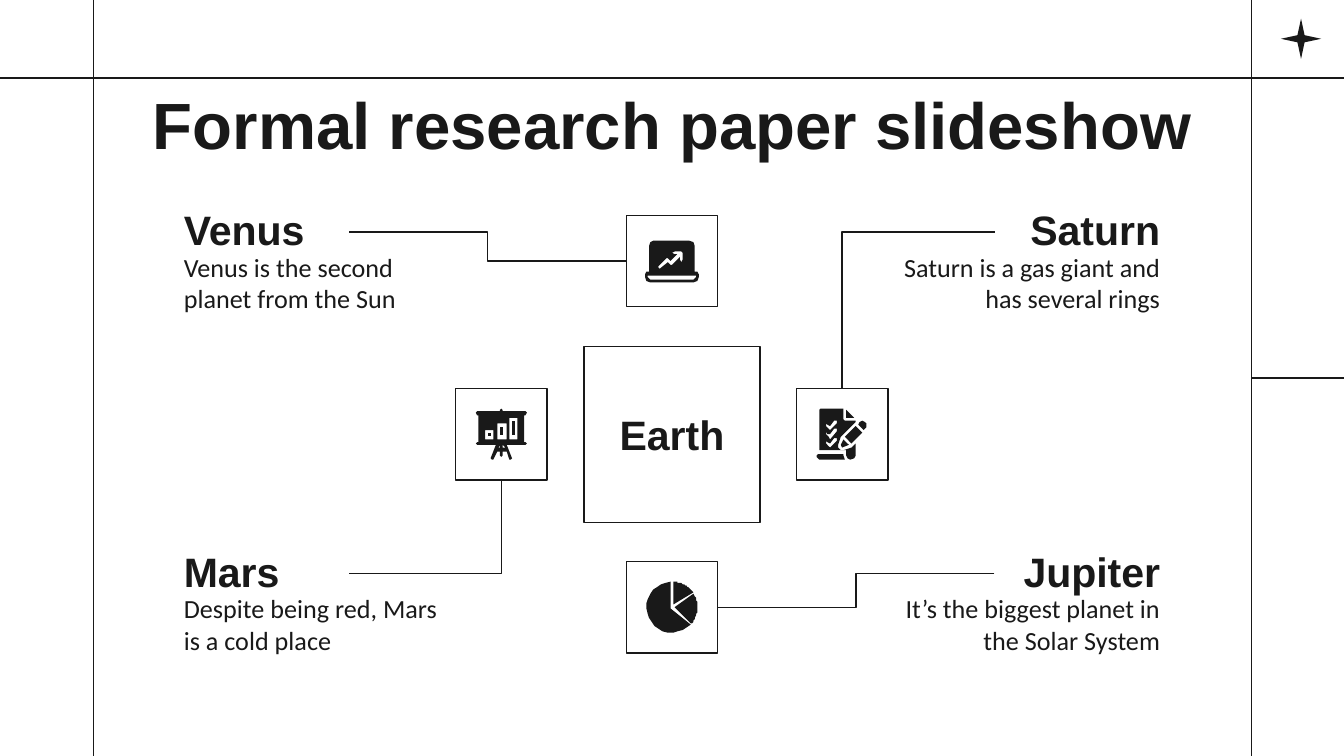
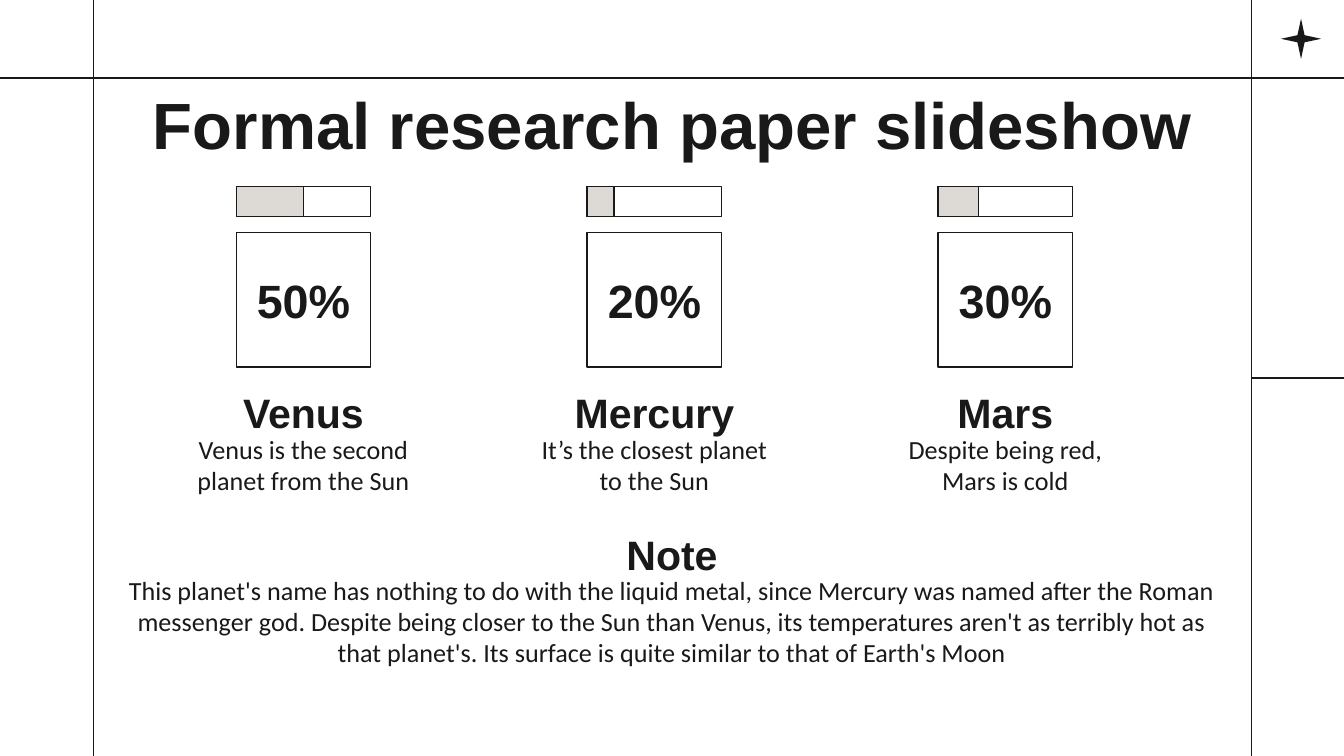
from math import cos, radians, sin

from lxml.etree import SubElement
from pptx import Presentation
from pptx.dml.color import RGBColor
from pptx.enum.shapes import MSO_CONNECTOR as LINK, MSO_SHAPE as SHAPE
from pptx.enum.text import MSO_ANCHOR as ANCHOR, PP_ALIGN as ALIGN
from pptx.oxml.ns import qn
from pptx.util import Pt

INK = RGBColor(0x19, 0x19, 0x19)
BAR = RGBColor(0xDD, 0xD9, 0xD5)
WHITE = RGBColor(0xFF, 0xFF, 0xFF)

WIDTH, HEIGHT = 720, 405
LEFT_RULE, RIGHT_RULE, TOP_RULE = 50.2, 670.3, 41.7
BLEED = 2.5
TILE = 49
ICON_UNIT = 0.72
HEADING_HEIGHT = 31

TITLE = {"name": "Arial", "size": Pt(35), "bold": True}
HEADING = {"name": "Arial", "size": Pt(22), "bold": True}
FIGURE = {"name": "Arial", "size": Pt(25), "bold": True}
BODY = {"name": "Calibri", "size": Pt(14), "bold": False}

LAPTOP = [[
    [(17, 23), (18, 20), (20, 19), (47, 19), (50, 20), (51, 23), (51, 42),
     (53, 42), (54, 44), (54, 46), (53, 49), (50, 50), (18, 50), (15, 49),
     (14, 46), (14, 44), (15, 42), (17, 42)],
    [(16, 45), (52, 45), (52, 46), (50, 48), (18, 48), (16, 46)],
    [(36, 27), (41, 27), (42, 28), (42, 33), (41, 35), (40, 33), (40, 31),
     (34, 37), (33, 37), (31, 35), (26, 39), (25, 40), (24, 39), (24, 38),
     (30, 32), (31, 32), (33, 34), (38, 29), (36, 29), (34, 28)],
]]
TICK = [(29, 24), (30, 24), (30, 26), (25, 31), (24, 30), (22, 28),
        (22, 26), (23, 27), (25, 28), (28, 24)]
CHECKLIST = [
    [[(17, 16), (18, 15), (35, 15), (35, 23), (36, 24), (44, 24), (44, 25),
      (33, 36), (31, 42), (31, 44), (33, 46), (35, 46), (41, 44), (44, 41),
      (44, 50), (43, 52), (40, 53), (38, 52), (37, 50), (37, 46), (17, 46)],
     *[[(x, y + drop) for x, y in TICK] for drop in (0, 6.5, 13)]],
    [[(46, 27), (50, 31), (52, 29), (52, 26), (51, 25), (49, 24), (47, 25)]],
    [[(35, 38), (39, 42), (34, 44), (33, 42)]],
    [[(44, 28), (49, 33), (41, 41), (36, 36)]],
    [[(37, 16), (43, 22), (37, 22)]],
    [[(15, 50), (16, 49), (35, 49), (35, 50), (36, 53), (17, 53), (15, 51)]],
]


def block(left, top, width, height):
    """Return the four corners of an upright rectangle."""
    right, bottom = left + width, top + height
    return [(left, top), (right, top), (right, bottom), (left, bottom)]


def sector(tip, start, end, centre=34, radius=19):
    """Return a pie slice outline with its arc between two angles in degrees."""
    steps = 20
    angles = [radians(start + (end - start) * i / steps) for i in range(steps + 1)]
    return [tip] + [(centre + radius * cos(a), centre + radius * sin(a)) for a in angles]


BOARD = [
    [[(33, 16), (34, 15), (35, 16), (35, 17), (52, 17), (53, 18), (52, 20),
      (51, 20), (51, 40), (52, 40), (53, 41), (52, 42), (38, 42), (42, 52),
      (41, 53), (40, 53), (38, 47), (35, 47), (35, 50), (34, 51), (33, 50),
      (33, 47), (31, 47), (28, 53), (27, 53), (26, 52), (30, 42), (16, 42),
      (15, 41), (16, 40), (17, 40), (17, 20), (16, 20), (15, 18), (16, 17),
      (33, 17)],
     block(22, 31, 6, 7), block(31, 26, 7, 12), block(40, 22, 6, 16),
     [(33, 42), (33, 44), (32, 44)], [(35, 42), (37, 44), (35, 44)]],
    [block(24, 33, 2, 2)],
    [block(33, 29, 2, 6)],
    [block(42, 24, 2, 11)],
]
PIE = [[sector((36, 34), -30, 41)],
       [sector((35, 32), -87, -35)],
       [sector((33, 35), 43, 267)]]


def write(box, text, style, align, anchor):
    """Put one styled paragraph into a shape or text box."""
    frame = box.text_frame
    frame.word_wrap = True
    frame.vertical_anchor = anchor
    para = frame.paragraphs[0]
    para.alignment = align
    span = para.add_run()
    span.text = text
    for name, value in style.items():
        setattr(span.font, name, value)
    span.font.color.rgb = INK


def add_text(page, place, text, style, align=ALIGN.CENTER, anchor=ANCHOR.TOP):
    """Add a text box at left, top, width, height."""
    box = page.shapes.add_textbox(*map(Pt, place))
    write(box, text, style, align, anchor)


def add_caption(page, heading_place, body_place, heading, body, align=ALIGN.CENTER):
    """Add a heading with its description."""
    add_text(page, heading_place, heading, HEADING, align, ANCHOR.BOTTOM)
    add_text(page, body_place, body, BODY, align)


def add_frame(page, place, fill=None, text=None, style=HEADING):
    """Add an outlined rectangle with an optional fill and label."""
    frame = page.shapes.add_shape(SHAPE.RECTANGLE, *map(Pt, place))
    frame.shadow.inherit = False
    frame.line.color.rgb = INK
    frame.line.width = Pt(0.75)
    if fill is None:
        frame.fill.background()
    else:
        frame.fill.solid()
        frame.fill.fore_color.rgb = fill
    if text:
        write(frame, text, style, ALIGN.CENTER, ANCHOR.MIDDLE)


def paint(shape):
    """Give a shape a plain ink fill without an outline."""
    shape.shadow.inherit = False
    shape.fill.solid()
    shape.fill.fore_color.rgb = INK
    shape.line.fill.background()


def add_line(page, start, end, kind=LINK.STRAIGHT, preset=None):
    """Add a thin connector, optionally with another preset geometry."""
    line = page.shapes.add_connector(kind, *map(Pt, (*start, *end)))
    line.line.color.rgb = INK
    line.line.width = Pt(0.75)
    properties = line._element.spPr
    SubElement(properties, qn("a:effectLst"))
    if preset:
        properties.find(qn("a:prstGeom")).set("prst", preset)


def add_icon_tile(page, left, top, icon):
    """Add a square tile holding an icon of one or more outlines."""
    add_frame(page, (left, top, TILE, TILE))
    for contours in icon:
        first, *holes = contours
        builder = page.shapes.build_freeform(*first[0], scale=Pt(ICON_UNIT))
        builder.add_line_segments(first[1:], close=True)
        for hole in holes:
            builder.move_to(*hole[0])
            builder.add_line_segments(hole[1:], close=True)
        paint(builder.convert_to_shape(Pt(left), Pt(top)))


def add_page(deck, title):
    """Add a blank page with the shared rules, star and title."""
    page = deck.slides.add_slide(deck.slide_layouts[6])
    page.background.fill.solid()
    page.background.fill.fore_color.rgb = WHITE
    star = page.shapes.add_shape(SHAPE.STAR_4_POINT, *map(Pt, (686.2, 10, 21.6, 21.6)))
    star.adjustments[0] = 0.125
    paint(star)
    add_line(page, (RIGHT_RULE, HEIGHT / 2), (WIDTH, HEIGHT / 2))
    for x in (LEFT_RULE, RIGHT_RULE):
        add_line(page, (x, -BLEED), (x, HEIGHT + BLEED))
    add_line(page, (-BLEED, TOP_RULE), (WIDTH + BLEED, TOP_RULE))
    add_text(page, (56.9, 41.8, 607, 49), title, TITLE, anchor=ANCHOR.BOTTOM)
    return page


def add_planet_map(deck, title):
    """Add the page with four planets linked around Earth."""
    page = add_page(deck, title)
    left, right, heading_width, body_width = 91.4, 628.6, 95.8, 152.6
    upper, lower = 108.7, 291.6
    planets = [
        (ALIGN.LEFT, upper, "Venus", "Venus is the second planet from the Sun"),
        (ALIGN.LEFT, lower, "Mars", "Despite being red, Mars is a cold place"),
        (ALIGN.RIGHT, upper, "Saturn", "Saturn is a gas giant and has several rings"),
        (ALIGN.RIGHT, lower, "Jupiter", "It’s the biggest planet in the Solar System"),
    ]
    for align, top, name, fact in planets:
        heading_left, body_left = (
            left if align == ALIGN.LEFT else right - width
            for width in (heading_width, body_width))
        add_caption(page, (heading_left, top, heading_width, HEADING_HEIGHT),
                    (body_left, top + 22.3, body_width, 45.4), name, fact, align)

    add_frame(page, (312.9, 185.6, 94.2, 94.2), text="Earth")

    middle, side_top, top_tile, bottom_tile = 335.5, 208.1, 115.3, 300.8
    board_left, list_left = 244.1, 426.7
    half = TILE / 2
    link_left, link_right = left + heading_width, right - heading_width
    link_upper, link_lower = upper + 15.6, lower + 15.6
    corner = "bentConnector2"
    links = [
        ((link_left, link_upper), (middle, top_tile + half), None),
        ((link_right, link_upper), (list_left + half, side_top), corner),
        ((link_left, link_lower), (board_left + half, side_top + TILE), corner),
        ((link_right, link_lower), (middle + TILE, bottom_tile + half), None),
    ]
    for start, end, preset in links:
        add_line(page, start, end, LINK.ELBOW, preset)
    tiles = [(middle, top_tile, LAPTOP), (list_left, side_top, CHECKLIST),
             (board_left, side_top, BOARD), (middle, bottom_tile, PIE)]
    for tile in tiles:
        add_icon_tile(page, *tile)


def add_percentages(deck, title):
    """Add the page with three percentages and a note."""
    page = add_page(deck, title)
    first_centre, pitch, side, text_width = 162.6, 188, 72, 149
    planets = [
        (50, "Venus", "Venus is the second planet from the Sun"),
        (20, "Mercury", "It’s the closest planet to the Sun"),
        (30, "Mars", "Despite being red, Mars is cold"),
    ]
    for column, (percent, name, fact) in enumerate(planets):
        centre = first_centre + column * pitch
        left, text_left = centre - side / 2, centre - text_width / 2
        add_caption(page, (text_left, 206.5, text_width, HEADING_HEIGHT),
                    (text_left, 228.4, text_width, 45.4), name, fact)
        add_frame(page, (left, 124.7, side, side), text=f"{percent}%", style=FIGURE)
        add_frame(page, (left, 100, side, 16))
        add_frame(page, (left, 100, side * percent / 100, 16), BAR)
    add_caption(
        page, (56.2, 282.8, 607.7, HEADING_HEIGHT), (56.2, 304, 607.7, 58.3), "Note",
        "This planet's name has nothing to do with the liquid metal, since Mercury "
        "was named after the Roman messenger god. Despite being closer to the Sun "
        "than Venus, its temperatures aren't as terribly hot as that planet's. Its "
        "surface is quite similar to that of Earth's Moon")


def main():
    """Build the deck and save it."""
    deck = Presentation()
    deck.slide_width, deck.slide_height = Pt(WIDTH), Pt(HEIGHT)
    title = "Formal research paper slideshow"
    add_planet_map(deck, title)
    add_percentages(deck, title)
    deck.save("out.pptx")


if __name__ == "__main__":
    main()
